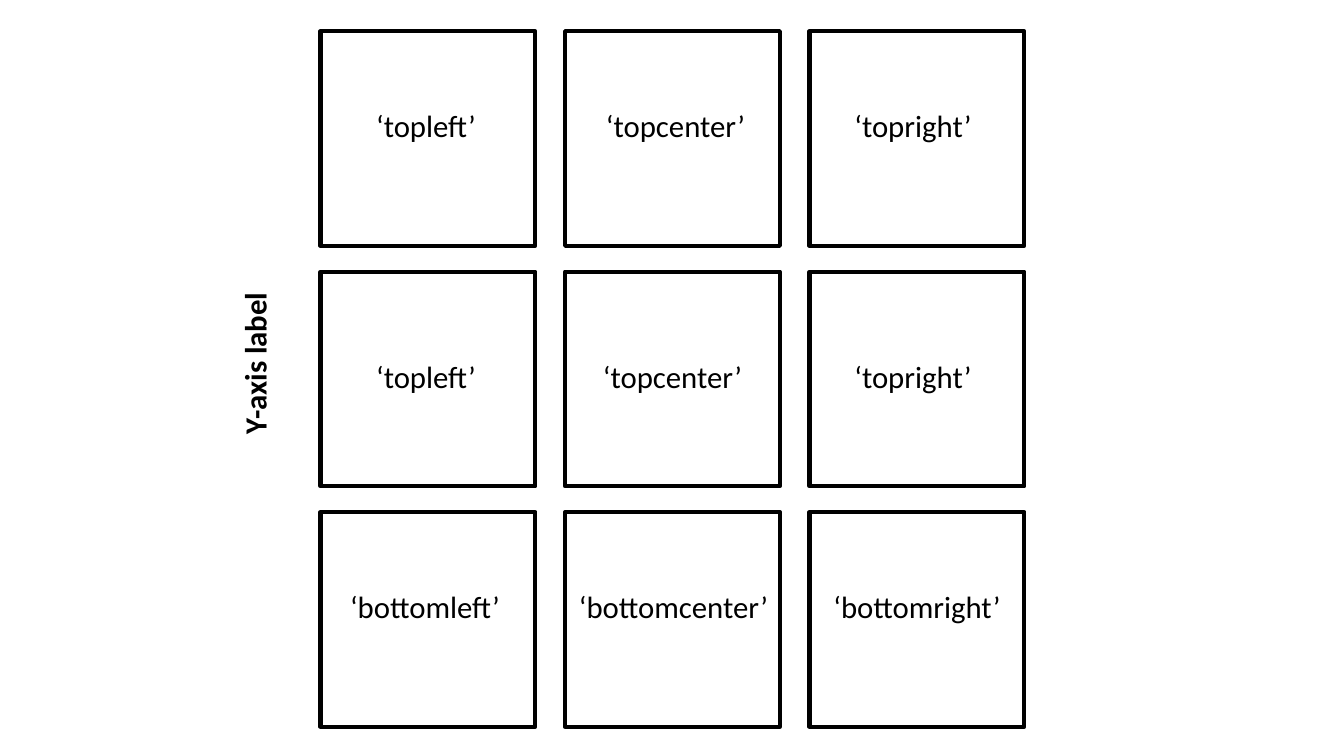
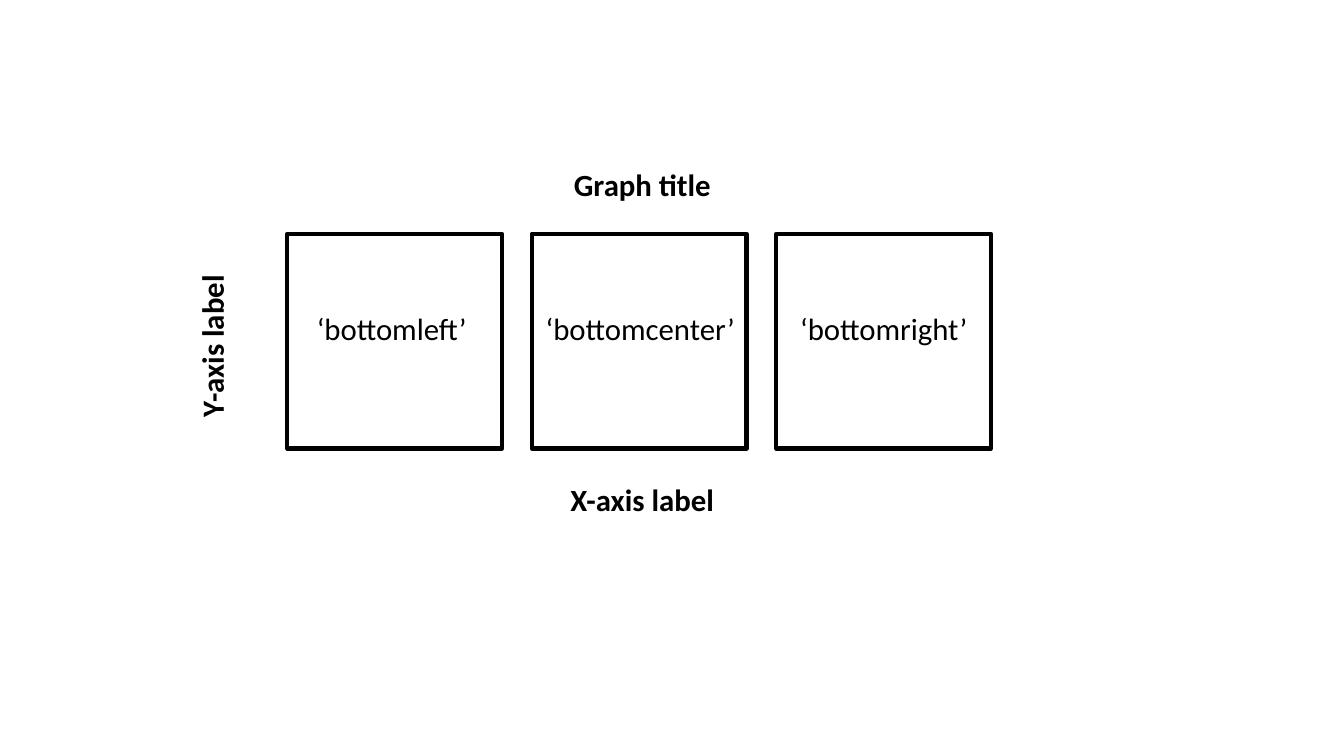
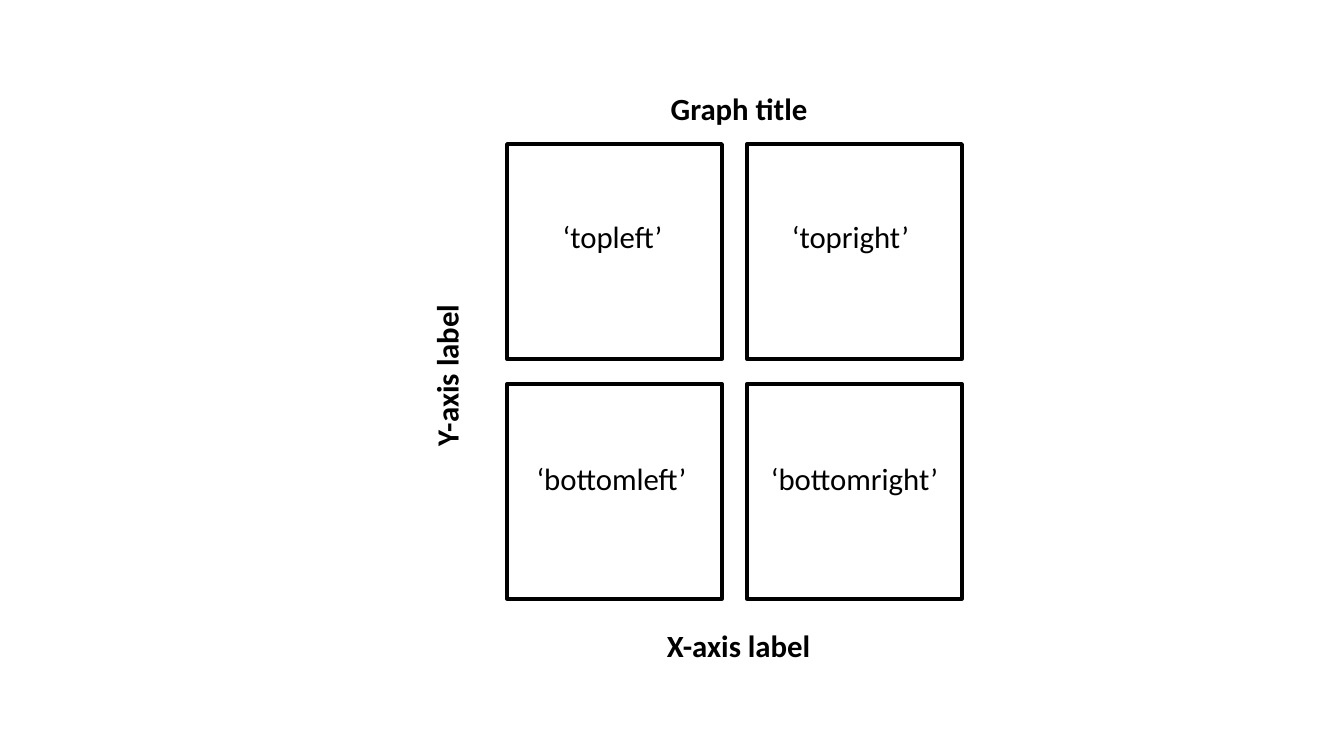
import pptx
import pptx.util
import pptx.dml.color
import pptx.enum.shapes
import pptx.enum.text

FONT, SIZE = "Calibri", 22
INK, PAPER = "000000", "FFFFFF"
CELL, LINE, TEXT_H = 2.13, 3, 0.47

LABEL_WIDTHS = {
    "‘topleft’": 1.59, "‘topcenter’": 1.75, "‘topright’": 1.75,
    "‘bottomleft’": 1.87, "‘bottomcenter’": 2.21, "‘bottomright’": 2.07,
}
BOTTOM = (0.7, [("‘bottomleft’", -0.03), ("‘bottomcenter’", 0.01), ("‘bottomright’", 0)])

SLIDES = [
    {
        "origin": (3.18, 0.31), "span": (4.85, 4.77),
        "rows": [
            (0.7, [("‘topleft’", -0.02), ("‘topcenter’", 0.03), ("‘topright’", -0.04)]),
            (0.8, [("‘topleft’", -0.02), ("‘topcenter’", 0), ("‘topright’", -0.04)]),
            BOTTOM,
        ],
        "captions": [("Y-axis label", 0.93, 3.37, 3.19, 270)],
    },
    {
        "origin": (2.85, 2.32), "span": (4.85, 0),
        "rows": [BOTTOM],
        "captions": [
            ("X-axis label", 4.32, 4.72, 4.1, 0),
            ("Y-axis label", 1.05, 3.2, 2.1, 270),
            ("Graph title", 5.46, 1.6, 1.82, 0),
        ],
    },
    {
        "origin": (5.03, 1.43), "span": (2.38, 2.38),
        "rows": [
            (0.68, [("‘topleft’", -0.02), ("‘topright’", -0.04)]),
            (0.7, [("‘bottomleft’", -0.03), ("‘bottomright’", 0)]),
        ],
        "captions": [
            ("X-axis label", 5.7, 6.17, 3.25, 0),
            ("Y-axis label", 2.96, 3.49, 2.94, 270),
            ("Graph title", 6.42, 0.84, 1.82, 0),
        ],
    },
]


def rgb(value):
    return pptx.dml.color.RGBColor.from_string(value)


def inches(*values):
    return [pptx.util.Inches(v) for v in values]


def add_cell(s, x, y):
    sp = s.shapes.add_shape(pptx.enum.shapes.MSO_SHAPE.RECTANGLE, *inches(x, y, CELL, CELL))
    sp.shadow.inherit = False
    sp.fill.solid()
    sp.fill.fore_color.rgb = rgb(PAPER)
    sp.line.color.rgb = rgb(INK)
    sp.line.width = pptx.util.Pt(LINE)


def add_text(s, text, x, y, width, rotation=0, bold=False):
    sp = s.shapes.add_textbox(*inches(x, y, width, TEXT_H))
    sp.rotation = rotation
    tf = sp.text_frame
    tf.word_wrap = True
    tf.auto_size = pptx.enum.text.MSO_AUTO_SIZE.SHAPE_TO_FIT_TEXT
    p = tf.paragraphs[0]
    p.text = text
    p.alignment = pptx.enum.text.PP_ALIGN.CENTER
    p.font.name = FONT
    p.font.size = pptx.util.Pt(SIZE)
    p.font.bold = bold
    p.font.color.rgb = rgb(INK)


def positions(start, span, count):
    return [start + span * i / max(count - 1, 1) for i in range(count)]


def add_grid(s, origin, span, rows):
    tops = positions(origin[1], span[1], len(rows))
    for y, (drop, labels) in zip(tops, rows):
        lefts = positions(origin[0], span[0], len(labels))
        for x, (label, shift) in zip(lefts, labels):
            width = LABEL_WIDTHS[label]
            add_cell(s, x, y)
            add_text(s, label, x + (CELL - width) / 2 + shift, y + drop, width)


def main():
    prs = pptx.Presentation()
    prs.slide_width, prs.slide_height = inches(13.33, 7.5)
    for slide in SLIDES:
        s = prs.slides.add_slide(prs.slide_layouts[6])
        add_grid(s, slide["origin"], slide["span"], slide["rows"])
        for text, x, y, width, rotation in slide["captions"]:
            add_text(s, text, x, y, width, rotation, bold=True)
    prs.save("out.pptx")


if __name__ == "__main__":
    main()
